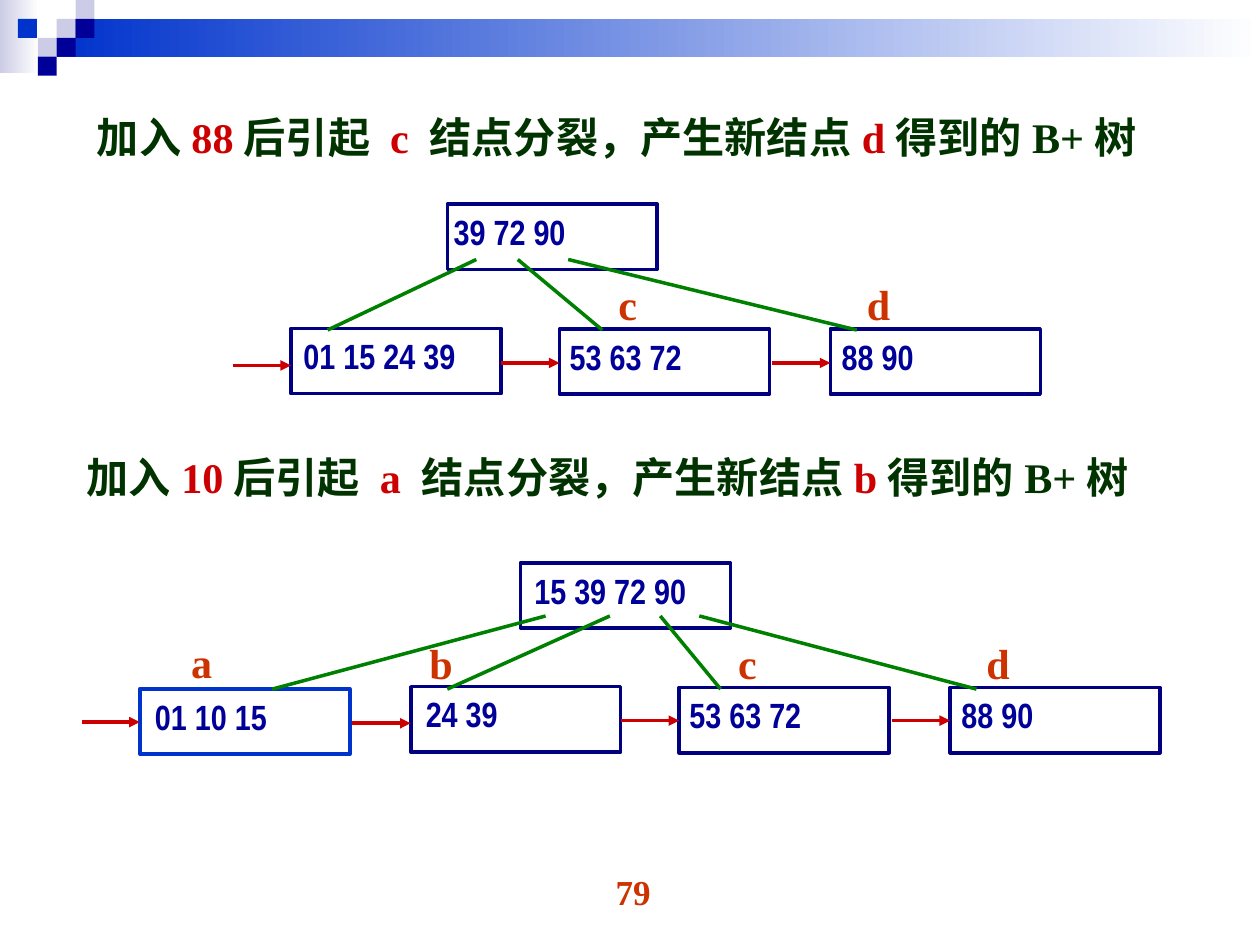
from lxml.etree import SubElement as Sub
from pptx import Presentation
from pptx.dml.color import RGBColor as RGB
from pptx.enum.shapes import MSO_CONNECTOR as Conn, MSO_SHAPE as Shape
from pptx.enum.text import MSO_ANCHOR as Anchor, MSO_AUTO_SIZE as Auto, PP_ALIGN as Align
from pptx.oxml.ns import qn
from pptx.util import Pt

INK = {
    "pale": "CCCCE6", "blue": "0033CC", "dark": "000099", "white": "FFFFFF",
    "edge": "000080", "red": "CC0000", "green": "008000",
    "text": "003300", "label": "CC3300",
}
FONTS = {
    "head": {"name": "Times New Roman", "size": Pt(24.1), "bold": True},
    "key": {"name": "Arial Narrow", "size": Pt(20), "bold": True},
    "label": {"name": "Times New Roman", "size": Pt(24), "bold": True},
    "page": {"name": "Times New Roman", "size": Pt(20), "bold": True},
}

deck = Presentation()
deck.slide_width, deck.slide_height = Pt(720), Pt(540)
slide = deck.slides.add_slide(deck.slide_layouts[5])
shapes = slide.shapes


def write(shape, runs, style, align=Align.LEFT, wrap=True, inset=7.2):
    frame = shape.text_frame
    form = {
        "word_wrap": wrap, "auto_size": Auto.NONE, "vertical_anchor": Anchor.TOP,
        "margin_left": Pt(inset), "margin_right": Pt(7.2),
        "margin_top": Pt(3.6), "margin_bottom": Pt(3.6),
    }
    for name, value in form.items():
        setattr(frame, name, value)
    para = frame.paragraphs[0]
    para.alignment = align
    for words, ink in runs:
        run = para.add_run()
        run.text = words
        run.font.color.rgb = RGB.from_string(INK[ink])
        for name, value in FONTS[style].items():
            setattr(run.font, name, value)
    return para


def link(start, end, ink, arrow=False):
    line = shapes.add_connector(Conn.STRAIGHT, *map(Pt, start + end))
    line.line.width = Pt(2)
    line.line.color.rgb = RGB.from_string(INK[ink])
    if arrow:
        Sub(line.line._get_or_add_ln(), qn("a:tailEnd"), type="triangle")
    Sub(line._element.spPr, qn("a:effectLst"))


cell = 10.8
bands = [
    ((0, 0, 22.3, 41.8), "pale", True),
    ((32.4, cell, 687.6, 21.6), "blue", True),
]
tiles = [
    (3, 1, "pale"), (4, 0, "pale"), (4, 1, "dark"), (2, 2, "pale"),
    (0.95, 1, "blue"), (3, 2, "dark"), (2, 3, "dark"),
]
bands += [((col * cell, row * cell, cell, cell), ink, False) for col, row, ink in tiles]
for place, ink, fade in bands:
    band = shapes.add_shape(Shape.RECTANGLE, *map(Pt, place))
    band.shadow.inherit = False
    band.line.fill.background()
    if fade:
        band.fill.gradient()
        band.fill.gradient_angle = 0
        for stop, tone in zip(band.fill.gradient_stops, (ink, "white")):
            stop.color.rgb = RGB.from_string(INK[tone])
    else:
        band.fill.solid()
        band.fill.fore_color.rgb = RGB.from_string(INK[ink])

heads = [
    (shapes.title, 48.2, 63.4, "88", "c", "d"),
    (shapes.add_textbox(0, 0, 0, 0), 42.5, 257.8, "10", "a", "b"),
]
for head, left, top, key, old, new in heads:
    head.left, head.top, head.width, head.height = map(Pt, (left, top, 615.3, 49))
    runs = [
        ("加入", "text"), (key, "red"), ("后引起 ", "text"), (old + " ", "red"),
        ("结点分裂，产生新结点", "text"), (new, "red"), ("得到的B+树", "text"),
    ]
    para = write(head, runs, "head", Align.JUSTIFY)
    para.line_spacing = 0.9
    para.space_before = Pt(0)

nodes = [
    ("39 72 90", 255.6, 116.6, 3.6, None),
    ("01 15 24 39", 166.3, 187.6, 7.2, 208.8),
    ("53 63 72", 319.7, 187.9, 5.8, 207.4),
    ("88 90", 474.5, 187.9, 6.5, 207.4),
    ("15 39 72 90", 297.4, 321.6, 7.9, None),
    ("01 10 15", 79.9, 393.6, 8.6, 412.6),
    ("24 39", 234.7, 392.4, 8.6, 413.3),
    ("53 63 72", 388.1, 392.8, 5.8, 411.8),
    ("88 90", 542.9, 392.8, 6.5, 411.8),
]
for keys, left, top, inset, mid in nodes:
    node = shapes.add_shape(Shape.RECTANGLE, Pt(left), Pt(top), Pt(120), Pt(37.4))
    node.shadow.inherit = False
    node.fill.background()
    node.line.width = Pt(2)
    node.line.color.rgb = RGB.from_string(INK["blue" if keys == "01 10 15" else "edge"])
    write(node, [(keys, "dark")], "key", inset=inset)
    if mid:
        link((left - 33.3, mid), (left, mid), "red", arrow=True)

trees = [
    (148.3, 188.6, [(272.2, 187.2), (295.9, 344.2), (324.7, 489.6)]),
    (352, 393.8, [(311.8, 155.5), (348.5, 255.6), (377.3, 411.8), (399.6, 558)]),
]
for top, base, edges in trees:
    for start, end in edges:
        link((start, top), (end, base), "green")

labels = [
    ("c", 346.3, 155.5), ("d", 488.2, 155.5),
    ("a", 102.2, 360.4), ("b", 238.3, 360.7), ("c", 414.7, 360.7), ("d", 556.6, 360.7),
]
for name, left, top in labels:
    label = shapes.add_textbox(Pt(left), Pt(top), Pt(27), Pt(36))
    write(label, [(name, "label")], "label", wrap=False)

page = shapes.add_textbox(Pt(277.9), Pt(493.9), Pt(167.8), Pt(37.4))
write(page, [("79", "label")], "page", Align.CENTER)

deck.save("out.pptx")
